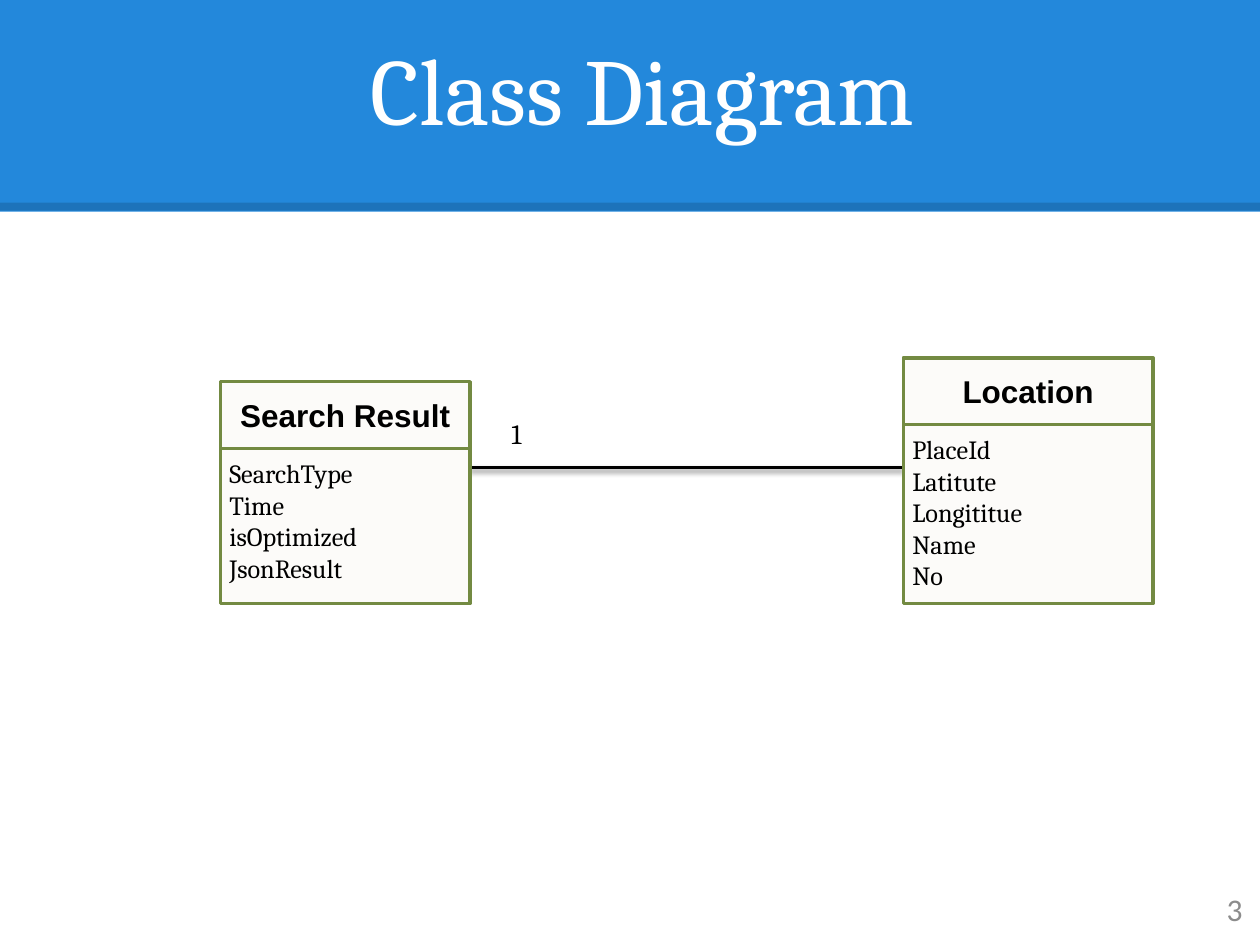
"""Build a class diagram slide with two linked classes."""
from dataclasses import dataclass

from lxml import etree
from pptx import Presentation
from pptx.dml.color import RGBColor
from pptx.enum.shapes import MSO_CONNECTOR, MSO_SHAPE
from pptx.enum.text import MSO_ANCHOR, MSO_AUTO_SIZE, PP_ALIGN
from pptx.oxml import parse_xml
from pptx.oxml.ns import nsdecls, qn
from pptx.util import Inches, Pt

LEFT, CENTER, RIGHT = PP_ALIGN.LEFT, PP_ALIGN.CENTER, PP_ALIGN.RIGHT
TOP, MIDDLE, BOTTOM = MSO_ANCHOR.TOP, MSO_ANCHOR.MIDDLE, MSO_ANCHOR.BOTTOM
RECT, STRAIGHT = MSO_SHAPE.RECTANGLE, MSO_CONNECTOR.STRAIGHT
BLACK, WHITE, GRAY = "000000", "FFFFFF", "8C8C8C"
BLUE, CREAM, GREEN = "2388DB", "FCFBF9", "738A42"
WIDTH, HEAD, BASE = 1.98, 0.53, 4.79
SHADOW = (
    '<a:outerShdw blurRad="39370" dist="20320" dir="5400000" rotWithShape="0">'
    '<a:srgbClr val="000000"><a:alpha val="38000"/></a:srgbClr></a:outerShdw>'
)


@dataclass
class Entity:
    name: str
    fields: list[str]
    left: float
    top: float


def paint(target, color: str) -> None:
    target.rgb = RGBColor.from_string(color)


def write(shape, text: str, *, size: float, font: str = "Cambria",
          color: str = BLACK, bold: bool = False, align=LEFT, anchor=TOP,
          inset: float = 0.1, wrap: bool = True) -> None:
    frame = shape.text_frame
    frame.text = text
    frame.word_wrap = wrap
    frame.auto_size = MSO_AUTO_SIZE.NONE
    frame.vertical_anchor = anchor
    frame.margin_left = frame.margin_right = Inches(inset)
    frame.margin_top = frame.margin_bottom = Inches(inset)
    for para in frame.paragraphs:
        para.alignment = align
        para.font.size, para.font.name = Pt(size), font
        para.font.bold = bold
        paint(para.font.color, color)


def box(shapes, left: float, top: float, width: float, height: float,
        fill: str, edge: str | None = None):
    shape = shapes.add_shape(RECT, Inches(left), Inches(top),
                             Inches(width), Inches(height))
    shape.shadow.inherit = False
    shape.fill.solid()
    paint(shape.fill.fore_color, fill)
    if edge:
        paint(shape.line.color, edge)
        shape.line.width = Pt(2)
    else:
        shape.line.fill.background()
    return shape


def rule(shapes, start: float, end: float, y: float, width: float,
         effect: str = "", alpha: int = 100):
    line = shapes.add_connector(STRAIGHT, Inches(start), Inches(y),
                                Inches(end), Inches(y))
    paint(line.line.color, BLACK)
    line.line.width = Pt(width)
    props = line._element.spPr
    if alpha < 100:
        tint = next(props.iter(qn("a:srgbClr")))
        etree.SubElement(tint, qn("a:alpha"), val=str(alpha * 1000))
    props.append(parse_xml(f'<a:effectLst {nsdecls("a")}>{effect}</a:effectLst>'))
    return line


def label(shapes, text: str, left: float, top: float, width: float,
          height: float, **style) -> None:
    area = shapes.add_textbox(Inches(left), Inches(top),
                              Inches(width), Inches(height))
    write(area, text, **style)


def draw(shapes, entity: Entity) -> None:
    group = shapes.add_group_shape().shapes
    split = entity.top + HEAD
    body = box(group, entity.left, split, WIDTH, BASE - split, CREAM, GREEN)
    write(body, "\n".join(entity.fields), size=15, inset=0.07)
    head = box(group, entity.left, entity.top, WIDTH, HEAD, CREAM, GREEN)
    write(head, entity.name, size=18, font="Arial", bold=True,
          align=CENTER, anchor=MIDDLE, inset=0.07)


def main() -> None:
    deck = Presentation()
    deck.slide_width, deck.slide_height = Inches(10), Inches(7.5)
    shapes = deck.slides.add_slide(deck.slide_layouts[5]).shapes

    title = shapes.title
    title.left, title.top = Inches(0.24), Inches(0.33)
    title.width, title.height = Inches(9.72), Inches(0.92)
    write(title, "Class Diagram", size=54, color=WHITE,
          align=CENTER, anchor=BOTTOM)
    band = box(shapes, 0, 0, 10, 1.68, BLUE)
    trim = rule(shapes, 0, 10, 1.64, 4.5, alpha=15)
    for back in (band, trim):
        title._element.addprevious(back._element)

    label(shapes, "3", 9.36, 6.93, 0.6, 0.57, size=18, font="Calibri",
          color=GRAY, align=RIGHT, anchor=MIDDLE)

    search = Entity("Search Result",
                    ["SearchType", "Time", "isOptimized", "JsonResult"],
                    1.75, 3.03)
    place = Entity("Location",
                   ["PlaceId", "Latitute", "Longititue", "Name", "No"],
                   7.17, 2.84)
    rule(shapes, search.left + WIDTH, place.left, 3.71, 2, effect=SHADOW)
    label(shapes, "1", 3.96, 3.21, 0.43, 0.47, size=16, wrap=False)
    for entity in (search, place):
        draw(shapes, entity)

    deck.save("out.pptx")


if __name__ == "__main__":
    main()
